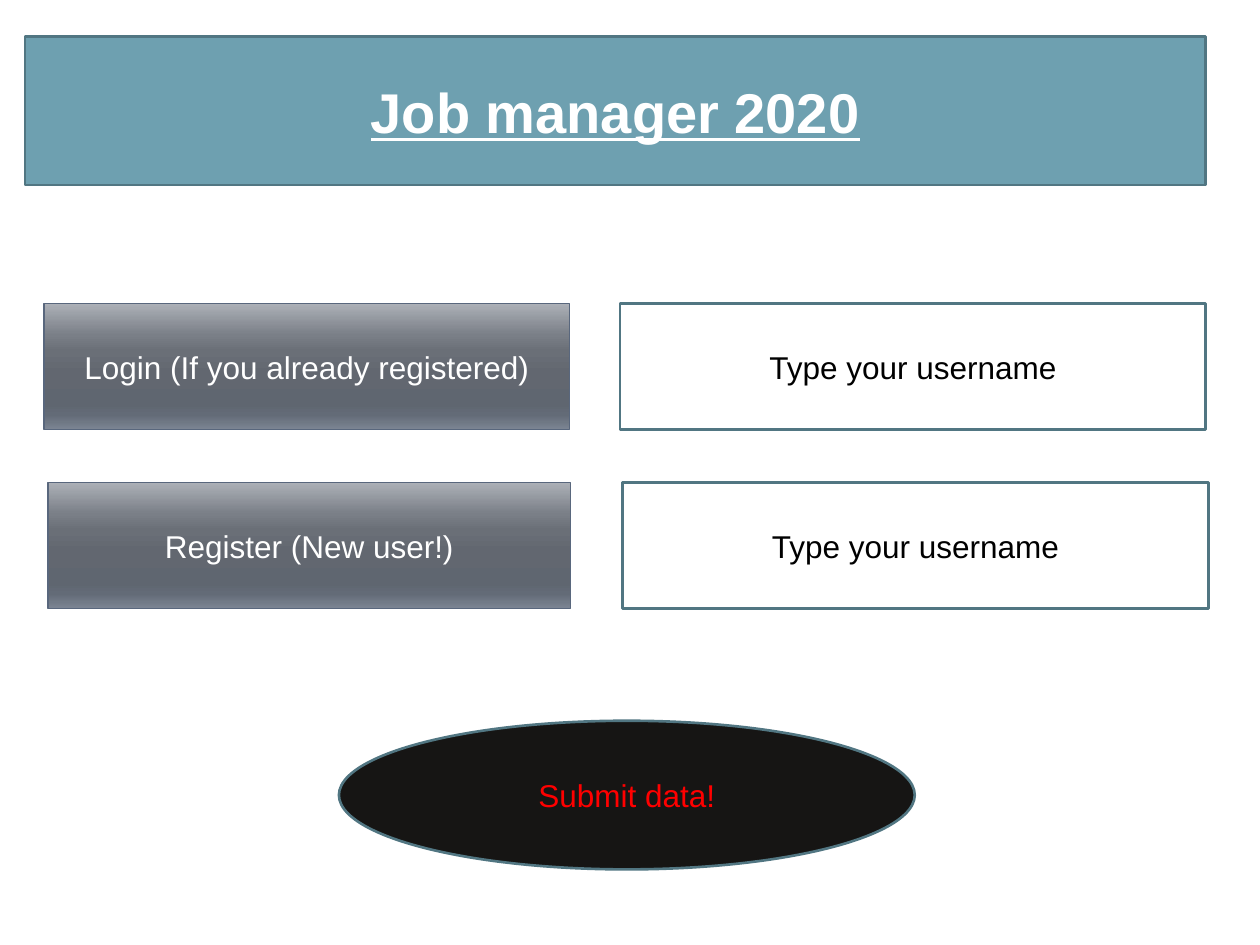
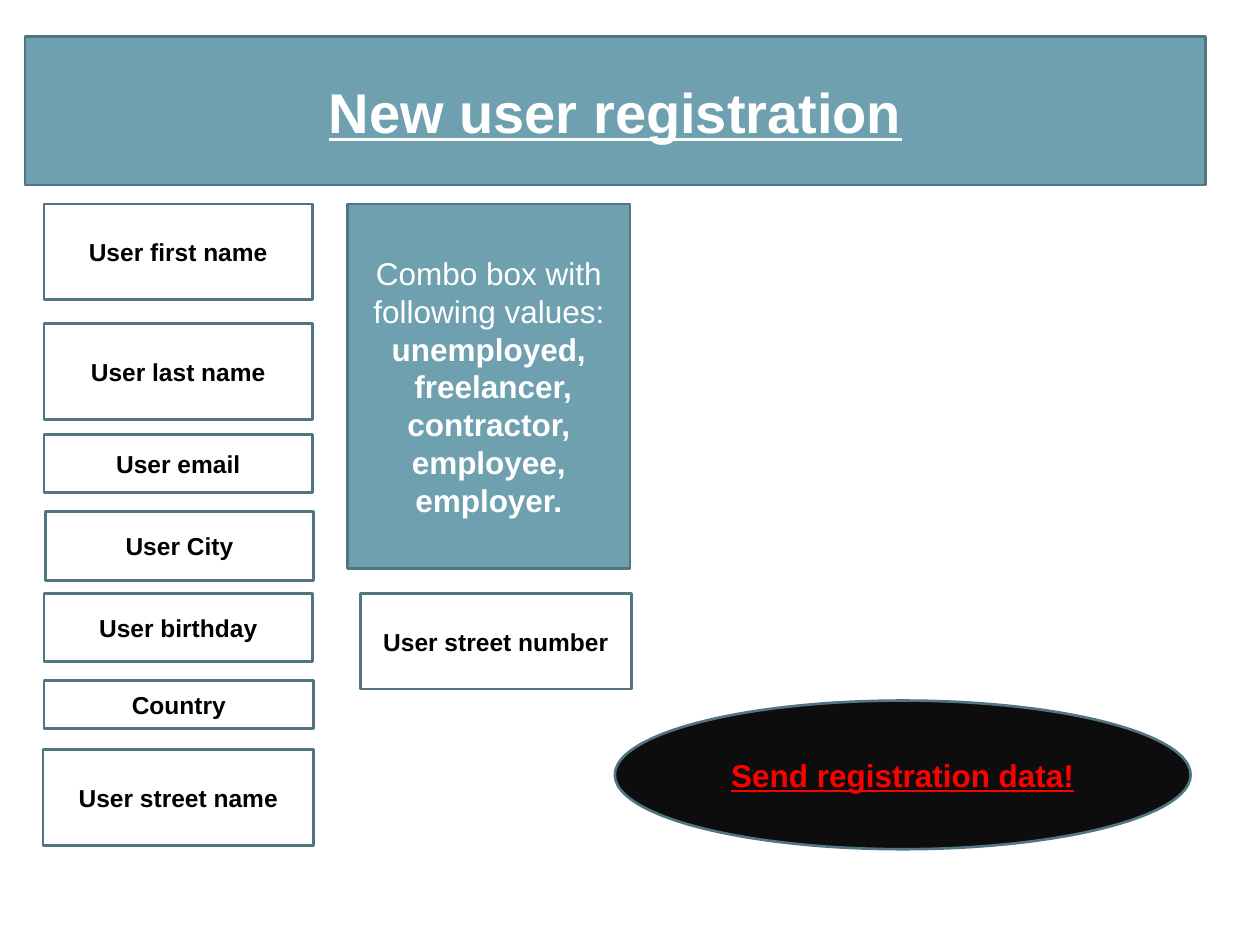
from dataclasses import dataclass

from lxml.etree import SubElement
from pptx import Presentation
from pptx.dml.color import RGBColor
from pptx.enum.shapes import MSO_SHAPE as Preset
from pptx.enum.text import MSO_ANCHOR as Anchor, PP_ALIGN as Align
from pptx.oxml.ns import qn
from pptx.util import Pt

PX = 9144
FONT = "Arial"
COLORS = {
    "teal": "6EA0B0",
    "teal_edge": "517682",
    "slate_edge": "59677D",
    "white": "FFFFFF",
    "black": "000000",
    "charcoal": "161514",
    "ink": "0D0D0D",
    "red": "FF0000",
}
SLATE_STOPS = {0: "ACB0B7", 25: "7A7F87", 38: "6A6F77", 55: "626770",
               80: "5F6670", 88: "636B77", 100: "7B8492"}


@dataclass(frozen=True)
class Style:
    fill: str | None
    color: str
    size: int = 18
    bold: bool = False
    underline: bool = False
    edge: str = "teal_edge"
    edge_width: float = 1.5
    preset: Preset = Preset.RECTANGLE


@dataclass(frozen=True)
class Box:
    text: str
    left: int
    top: int
    width: int
    height: int
    style: Style


BANNER = Style("teal", "white", size=32, bold=True, underline=True)
ACTION = Style(None, "white", edge="slate_edge", edge_width=0.75)
ENTRY = Style("white", "black")
FIELD = Style("white", "black", size=14, bold=True)
COMBO = Style("teal", "white")
SUBMIT = Style("charcoal", "red", preset=Preset.OVAL)
SEND = Style("ink", "red", bold=True, underline=True, preset=Preset.OVAL)

LOGIN_BOXES = [
    Box("Login (If you already registered)", 35, 241, 417, 100, ACTION),
    Box("Register (New user!)", 38, 383, 415, 100, ACTION),
    Box("Type your username", 492, 241, 465, 100, ENTRY),
    Box("Type your username", 494, 383, 465, 100, ENTRY),
    Box("Submit data!", 269, 572, 457, 118, SUBMIT),
]
REGISTRATION_BOXES = [
    Box("User first name", 35, 162, 213, 76, FIELD),
    Box("User last name", 35, 257, 213, 76, FIELD),
    Box("User email", 35, 345, 213, 46, FIELD),
    Box("User City", 36, 406, 213, 55, FIELD),
    Box("User birthday", 35, 471, 213, 54, FIELD),
    Box("Country", 35, 540, 214, 38, FIELD),
    Box("User street name", 34, 595, 215, 76, FIELD),
    Box("User street number", 286, 471, 215, 76, FIELD),
    Box("Send registration data!", 488, 556, 457, 118, SEND),
]
COMBO_BOX = Box("Combo box with following values:", 276, 162, 224, 289, COMBO)
COMBO_VALUES = ["unemployed,", " freelancer,", "contractor,", "employee,", "employer."]


def rgb(name: str) -> RGBColor:
    return RGBColor.from_string(COLORS[name])


def write(paragraph, text: str, *, color: str, size: int,
          bold: bool = False, underline: bool = False) -> None:
    paragraph.alignment = Align.CENTER
    run = paragraph.add_run()
    run.text = text
    font = run.font
    font.name = FONT
    font.size = Pt(size)
    font.bold = bold
    font.underline = underline
    font.color.rgb = rgb(color)


def fill_slate(shape) -> None:
    shape.fill.gradient()
    shape.fill.gradient_angle = 270
    stops = shape.element.spPr.find(qn("a:gradFill")).find(qn("a:gsLst"))
    for stop in list(stops):
        stops.remove(stop)
    for percent, color in SLATE_STOPS.items():
        stop = SubElement(stops, qn("a:gs"), pos=str(percent * 1000))
        SubElement(stop, qn("a:srgbClr"), val=color)


def draw_box(slide, box: Box):
    style = box.style
    shape = slide.shapes.add_shape(
        style.preset, box.left * PX, box.top * PX, box.width * PX, box.height * PX)
    shape.shadow.inherit = False
    if style.fill is None:
        fill_slate(shape)
    else:
        shape.fill.solid()
        shape.fill.fore_color.rgb = rgb(style.fill)
    shape.line.color.rgb = rgb(style.edge)
    shape.line.width = Pt(style.edge_width)
    frame = shape.text_frame
    frame.word_wrap = True
    frame.vertical_anchor = Anchor.MIDDLE
    write(frame.paragraphs[0], box.text, color=style.color, size=style.size,
          bold=style.bold, underline=style.underline)
    return shape


def add_screen(deck, title: str, boxes: list[Box]):
    slide = deck.slides.add_slide(deck.slide_layouts[6])
    for box in [Box(title, 20, 29, 937, 118, BANNER), *boxes]:
        draw_box(slide, box)
    return slide


def main() -> None:
    deck = Presentation()
    deck.slide_width = 1000 * PX
    deck.slide_height = 750 * PX
    add_screen(deck, "Job manager 2020", LOGIN_BOXES)
    registration = add_screen(deck, "New user registration", REGISTRATION_BOXES)
    combo = draw_box(registration, COMBO_BOX)
    for value in COMBO_VALUES:
        write(combo.text_frame.add_paragraph(), value,
              color=COMBO.color, size=COMBO.size, bold=True)
    deck.save("out.pptx")


if __name__ == "__main__":
    main()
